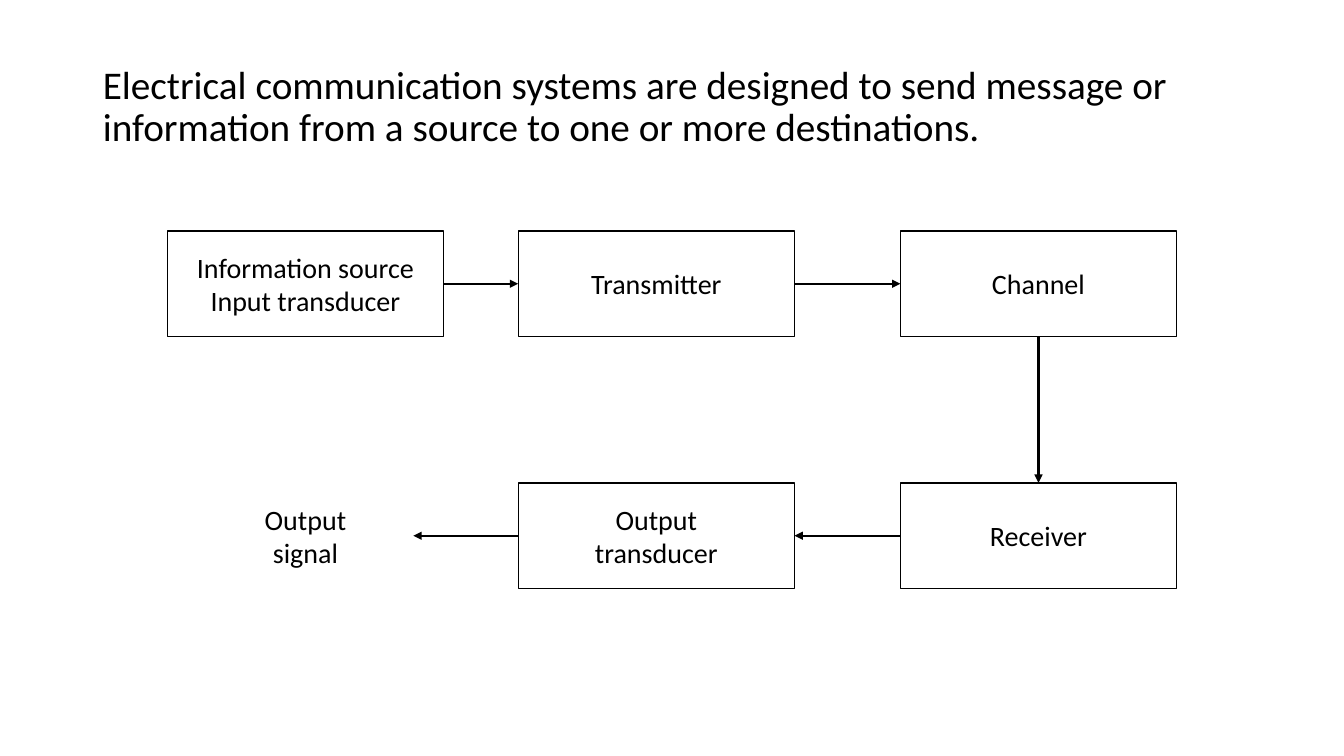
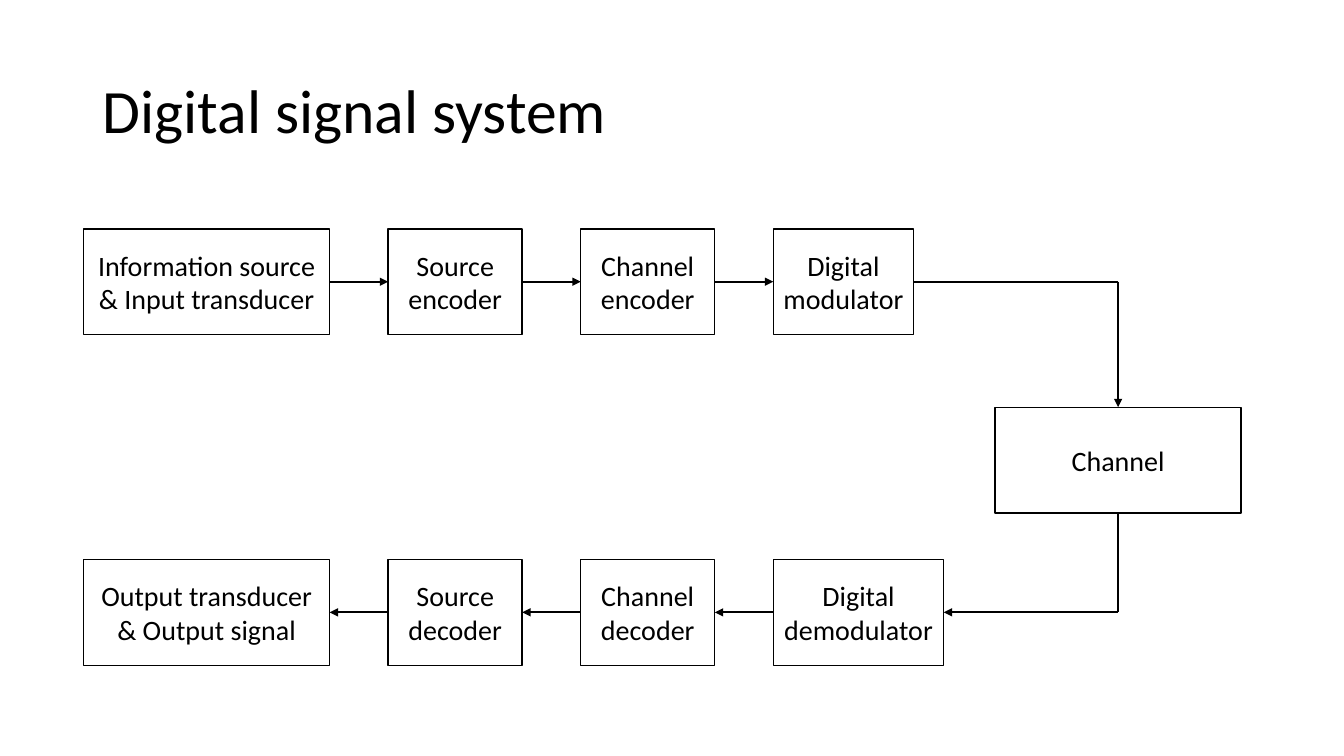
from itertools import pairwise
from lxml.etree import SubElement
from pptx import Presentation
from pptx.dml.color import RGBColor
from pptx.enum.shapes import MSO_CONNECTOR, MSO_SHAPE
from pptx.enum.text import MSO_ANCHOR, MSO_AUTO_SIZE, PP_ALIGN
from pptx.oxml.ns import qn
from pptx.util import Inches, Pt

INK = {"text": "000000", "line": "000000", "fill": "FFFFFF"}
FONT = "Calibri"
TOP, LEFT, BASE, RIGHT = range(4)
HIGH = 1.05


def tint(name):
    return RGBColor.from_string(INK[name])


def apply(item, style):
    for key, value in style.items():
        setattr(item, key, value)


class Deck:
    frame = {"word_wrap": True, "auto_size": MSO_AUTO_SIZE.NONE}
    label = {"alignment": PP_ALIGN.CENTER}
    title = {"alignment": PP_ALIGN.LEFT, "line_spacing": 0.9}
    prose = {**title, "space_before": Pt(10)}

    def __init__(self):
        self.show = Presentation()
        apply(self.show, {"slide_width": Inches(13.33), "slide_height": Inches(7.5)})
        self.slide = None

    def page(self, layout):
        self.slide = self.show.slides.add_slide(self.show.slide_layouts[layout])

    def words(self, shape, text, size, style, anchor):
        frame = shape.text_frame
        apply(frame, {**self.frame, "vertical_anchor": anchor})
        frame.text = text
        for para in frame.paragraphs:
            apply(para, style)
            for run in para.runs:
                apply(run.font, {"name": FONT, "size": Pt(size), "bold": False})
                run.font.color.rgb = tint("text")

    def place(self, shape, left, top, width, height):
        sides = {"left": left, "top": top, "width": width, "height": height}
        apply(shape, {key: Inches(value) for key, value in sides.items()})

    def head(self, text):
        shape = self.slide.shapes.title
        self.place(shape, 0.92, 0.4, 11.5, 1.45)
        self.words(shape, text, 44, self.title, MSO_ANCHOR.MIDDLE)

    def body(self, text):
        title = self.slide.shapes.title._element
        title.getparent().remove(title)
        shape = self.slide.placeholders[1]
        self.place(shape, 0.92, 0.6, 11.5, 6.16)
        self.words(shape, text, 28, self.prose, MSO_ANCHOR.TOP)
        for para in shape.text_frame.paragraphs:
            props = para._p.get_or_add_pPr()
            props.set("marL", "0")
            props.set("indent", "0")
            SubElement(props, qn("a:buNone"))

    def box(self, text, left, top, width, edge="line"):
        place = map(Inches, (left, top, width, HIGH))
        shape = self.slide.shapes.add_shape(MSO_SHAPE.RECTANGLE, *place)
        shape.shadow.inherit = False
        shape.fill.solid()
        shape.fill.fore_color.rgb = tint("fill")
        shape.line.color.rgb = tint(edge)
        shape.line.width = Pt(1)
        self.words(shape, text, 20, self.label, MSO_ANCHOR.MIDDLE)
        apply(shape.text_frame, {"margin_left": Inches(0.05), "margin_right": Inches(0.05)})
        return shape

    def row(self, cells, left, top, gap):
        boxes = []
        for text, width in cells:
            boxes.append(self.box(text, left, top, width))
            left += width + gap
        return boxes

    def wire(self, start=(0, 0), end=(0, 0), tip=True):
        ends = map(Inches, (*start, *end))
        line = self.slide.shapes.add_connector(MSO_CONNECTOR.STRAIGHT, *ends)
        line.line.color.rgb = tint("line")
        line.line.width = Pt(1.5)
        if tip:
            SubElement(line.line._get_or_add_ln(), qn("a:tailEnd"), type="triangle")
        SubElement(line._element.spPr, qn("a:effectLst"))
        return line

    def link(self, start, end, exit_side, entry_side):
        line = self.wire()
        line.begin_connect(start, exit_side)
        line.end_connect(end, entry_side)

    def chain(self, boxes, exit_side, entry_side):
        for start, end in pairwise(boxes):
            self.link(start, end, exit_side, entry_side)


def basic(deck):
    deck.page(1)
    deck.body(
        "Electrical communication systems are designed to send message or "
        "information from a source to one or more destinations."
    )
    cols, wide = (1.66, 5.14, 8.93), 2.74
    high, low = 2.29, 4.79
    names = ("Information source\nInput transducer", "Transmitter", "Channel")
    send = [deck.box(name, left, high, wide) for name, left in zip(names, cols)]
    names = ("Receiver", "Output\ntransducer")
    take = [deck.box(name, left, low, wide) for name, left in zip(names, cols[:0:-1])]
    deck.box("Output\nsignal", cols[0], low, wide, "fill")
    deck.chain(send, RIGHT, LEFT)
    deck.link(send[-1], take[0], BASE, TOP)
    deck.chain(take, LEFT, RIGHT)
    mid = low + HIGH / 2
    deck.wire((cols[1], mid), (4.1, mid))


def digital(deck):
    deck.page(5)
    deck.head("Digital signal system")
    left, gap, high, low = 0.83, 0.58, 2.27, 5.55
    send = [
        ("Information source\n& Input transducer", 2.44),
        ("Source encoder", 1.33),
        ("Channel\nencoder", 1.33),
        ("Digital\nmodulator", 1.39),
    ]
    take = [
        ("Output transducer\n& Output signal", 2.44),
        ("Source decoder", 1.33),
        ("Channel\ndecoder", 1.33),
        ("Digital\ndemodulator", 1.69),
    ]
    deck.chain(deck.row(send, left, high, gap), RIGHT, LEFT)
    deck.chain(deck.row(take, left, low, gap)[::-1], LEFT, RIGHT)
    side, top, wide = 9.87, 4.04, 2.44
    deck.box("Channel", side, top, wide)
    mid = side + wide / 2
    out, back = high + HIGH / 2, low + HIGH / 2
    deck.wire((9.06, out), (mid, out), tip=False)
    deck.wire((mid, out), (mid, top))
    deck.wire((mid, top + HIGH), (mid, back), tip=False)
    deck.wire((mid, back), (9.36, back))


def main():
    deck = Deck()
    basic(deck)
    digital(deck)
    deck.show.save("out.pptx")


if __name__ == "__main__":
    main()
